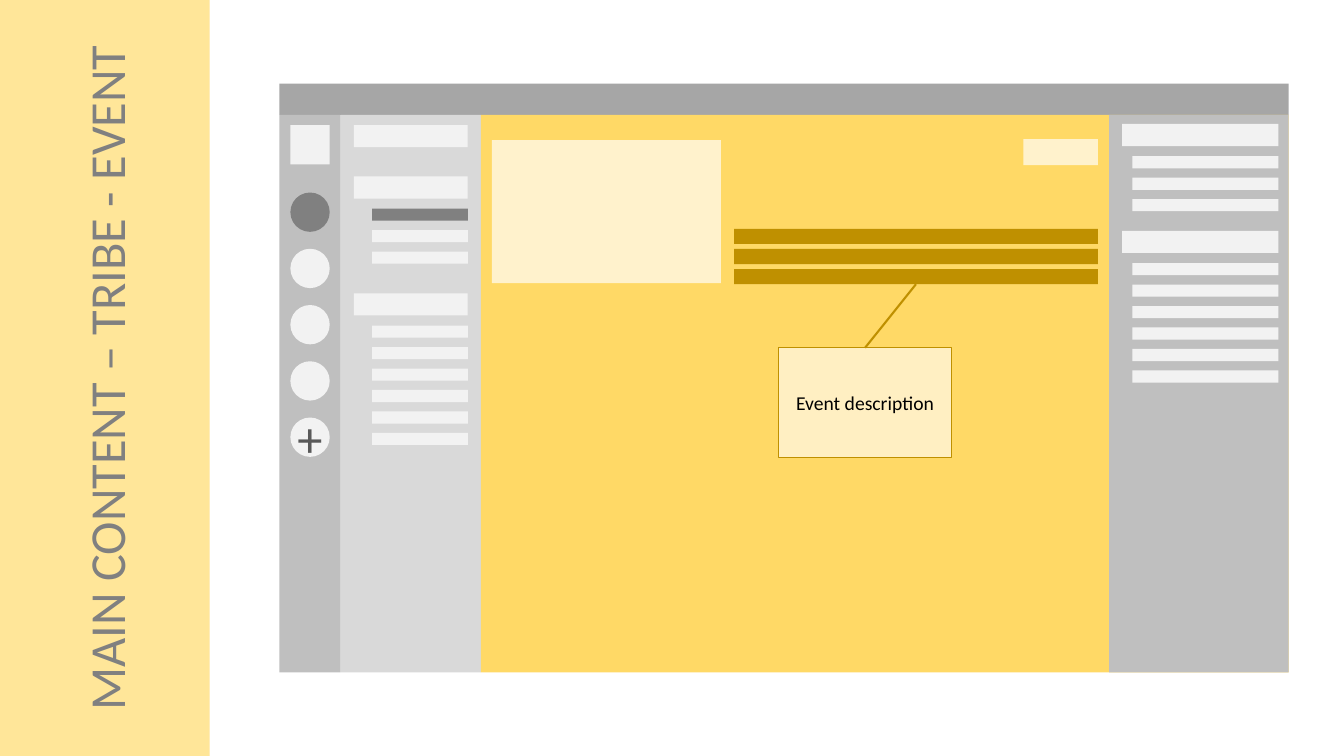
"""Build the wireframe slide that points out the event description of a tribe page."""
from lxml import etree
from pptx import Presentation
from pptx.dml.color import RGBColor
from pptx.enum.shapes import MSO_CONNECTOR, MSO_SHAPE
from pptx.enum.text import MSO_ANCHOR, MSO_AUTO_SIZE, PP_ALIGN
from pptx.oxml.ns import qn
from pptx.util import Inches, Pt

RECTANGLE, OVAL = MSO_SHAPE.RECTANGLE, MSO_SHAPE.OVAL
STRAIGHT = MSO_CONNECTOR.STRAIGHT
MIDDLE, CENTER, NO_FIT = MSO_ANCHOR.MIDDLE, PP_ALIGN.CENTER, MSO_AUTO_SIZE.NONE
LIGHT, GRAY, DARK = "F2F2F2", "BFBFBF", "808080"
CREAM, GOLD = "FFF2CC", "BF9000"


def add_block(shapes, kind, left, top, width, height, color):
    block = shapes.add_shape(kind, Inches(left), Inches(top), Inches(width), Inches(height))
    block.shadow.inherit = False
    block.fill.solid()
    block.fill.fore_color.rgb = RGBColor.from_string(color)
    block.line.fill.background()
    return block


def write_text(shape, text, size, color):
    frame = shape.text_frame
    frame.text = text
    frame.vertical_anchor = MIDDLE
    para = frame.paragraphs[0]
    para.alignment = CENTER
    para.font.name = "Calibri"
    para.font.size = Pt(size)
    para.font.color.rgb = RGBColor.from_string(color)


deck = Presentation()
deck.slide_width, deck.slide_height = Inches(13.33), Inches(7.5)
page = deck.slides.add_slide(deck.slide_layouts[5])
shapes = page.shapes

title = shapes.title
title.left, title.top = Inches(-2.71), Inches(2.71)
title.width, title.height = Inches(7.5), Inches(2.08)
title.rotation = 270
title.fill.solid()
title.fill.fore_color.rgb = RGBColor.from_string("FFE699")
write_text(title, "MAIN CONTENT – TRIBE - EVENT", 36, DARK)
title.text_frame.auto_size = NO_FIT

window = shapes.add_group_shape()
for left, top, width, height, color in [
    (2.77, 0.83, 10.01, 0.31, "A6A6A6"),
    (2.77, 1.14, 0.61, 5.53, GRAY),
    (3.38, 1.14, 1.39, 5.53, "D9D9D9"),
    (4.77, 1.14, 8.01, 5.53, "FFD966"),
]:
    add_block(window.shapes, RECTANGLE, left, top, width, height, color)
add_block(shapes, RECTANGLE, 11, 1.14, 1.78, 5.53, GRAY)

add_block(shapes, RECTANGLE, 2.88, 1.24, 0.39, 0.39, LIGHT)
for index in range(5):
    icon = add_block(shapes, OVAL, 2.88, 1.91 + 0.558 * index, 0.39, 0.39,
                     LIGHT if index else DARK)
write_text(icon, "+", 36, "595959")
icon_frame = icon.text_frame
icon_frame.margin_left = icon_frame.margin_right = 0
icon_frame.margin_top = icon_frame.margin_bottom = 0

menus = [
    (3.51, 1.13, 3.69, 0.95, [(1.24, 0), (1.75, 3), (2.91, 6)]),
    (11.13, 1.55, 11.23, 1.45, [(1.23, 3), (2.29, 6)]),
]
for heading_left, heading_width, item_left, item_width, sections in menus:
    for top, item_count in sections:
        add_block(shapes, RECTANGLE, heading_left, top, heading_width, 0.22, LIGHT)
        for index in range(item_count):
            selected = (heading_left, top, index) == (3.51, 1.75, 0)
            add_block(shapes, RECTANGLE, item_left, top + 0.32 + 0.213 * index,
                      item_width, 0.12, DARK if selected else LIGHT)

add_block(shapes, RECTANGLE, 4.88, 1.39, 2.27, 1.42, CREAM)
add_block(shapes, RECTANGLE, 10.15, 1.38, 0.74, 0.26, CREAM)
for index in range(3):
    description_bar = add_block(shapes, RECTANGLE, 7.28, 2.27 + 0.2 * index, 3.61, 0.15, GOLD)

callout = add_block(shapes, RECTANGLE, 7.72, 3.45, 1.72, 1.09, CREAM)
callout.line.color.rgb = RGBColor.from_string(GOLD)
callout.line.width = Pt(1)
callout_color = callout._element.spPr.find(qn("a:solidFill")).find(qn("a:srgbClr"))
etree.SubElement(callout_color, qn("a:alpha"), val="90000")
write_text(callout, "Event description", 14, "000000")

pointer = shapes.add_connector(STRAIGHT, Inches(9.09), Inches(2.82), Inches(8.58), Inches(3.45))
pointer.begin_connect(description_bar, 2)
pointer.end_connect(callout, 0)
pointer.line.color.rgb = RGBColor.from_string(GOLD)
pointer.line.width = Pt(1.5)
etree.SubElement(pointer._element.spPr, qn("a:effectLst"))

deck.save("out.pptx")
